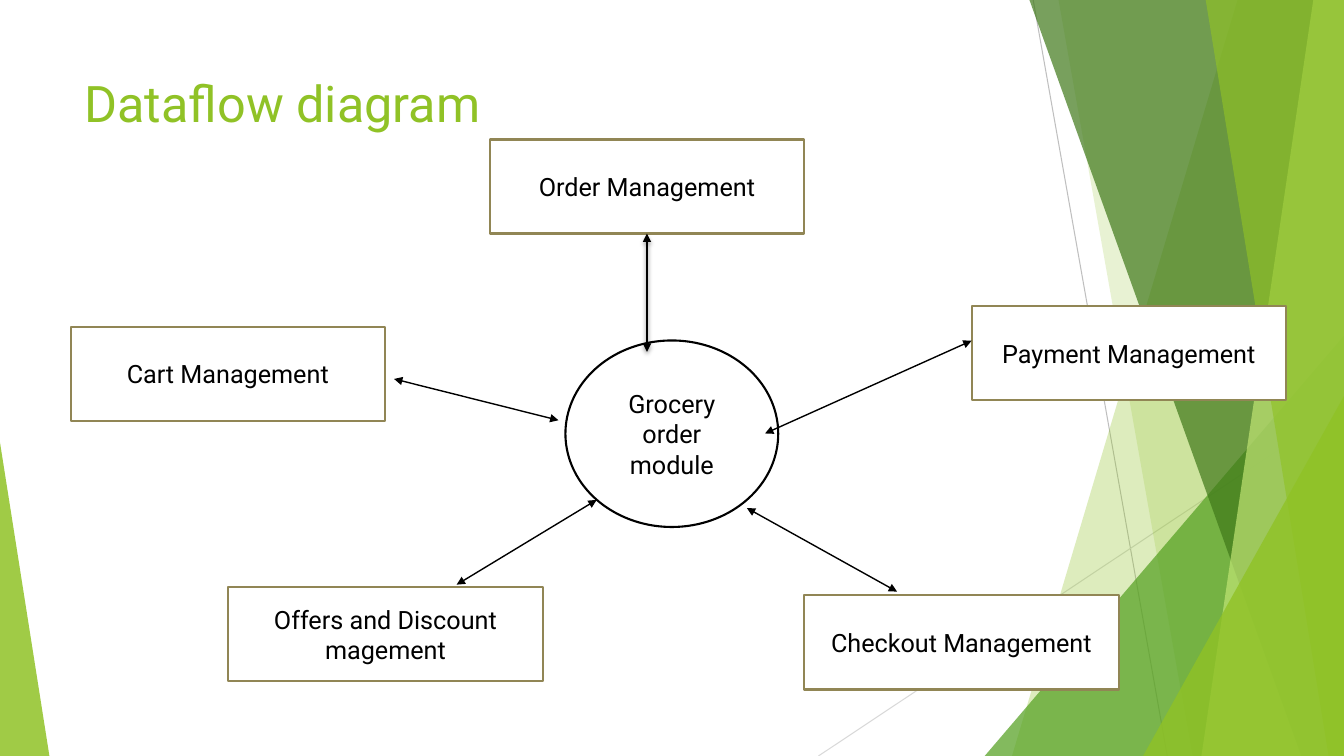
from lxml.etree import SubElement
from pptx import Presentation
from pptx.dml.color import RGBColor
from pptx.enum.shapes import MSO_CONNECTOR as CONN, MSO_SHAPE as SHAPE
from pptx.enum.text import MSO_ANCHOR as ANCHOR, PP_ALIGN as ALIGN
from pptx.oxml import parse_xml
from pptx.oxml.ns import nsdecls, qn
from pptx.util import Pt

WIDTH, HEIGHT, TOP = 960, 540, -0.7
BOX_W, BOX_H = 224.7, 67.2

BLACK = RGBColor(0x00, 0x00, 0x00)
WHITE = RGBColor(0xFF, 0xFF, 0xFF)
LIME = RGBColor(0x90, 0xC2, 0x26)
GREEN = RGBColor(0x54, 0xA0, 0x21)
DARK_GREEN = RGBColor(0x3F, 0x78, 0x19)
PALE_LIME = RGBColor(0xC0, 0xE4, 0x74)
OLIVE = RGBColor(0x91, 0x86, 0x55)
GREY = RGBColor(0xBF, 0xBF, 0xBF)
LIGHT_GREY = RGBColor(0xD9, 0xD9, 0xD9)

LABEL_FONT = {"name": "Roboto", "size": Pt(18)}
TITLE_FONT = {"name": "Roboto", "size": Pt(36)}

# Corner facets, back to front: top-left x, bottom-left x, colour, opacity %
BACK_FACETS = [(884.2, 722.9, LIME, 30), (756, 851.8, LIME, 20)]
FRONT_FACETS = [(735.1, 929.5, DARK_GREEN, 70), (938.2, 858.2, PALE_LIME, 70),
                (861.1, 949, LIME, 65)]

# Management boxes: left, top, label
BOXES = [(349.8, 99.6, "Order Management"),
         (50.4, 233.4, "Cart Management"),
         (574.4, 425.3, "Checkout Management"),
         (694, 218.8, "Payment Management"),
         (163, 419.5, "Offers and Discount magement")]

# Flow arrows: x1, y1, x2, y2
FLOWS = [(281.5, 270.7, 398.9, 300.2), (326.2, 417.6, 426.2, 357.1),
         (546.5, 309.6, 694, 243.4), (533.5, 362.9, 640.8, 422.6)]


def paint(sp, color, opacity=100):
    sp.shadow.inherit = False
    sp.fill.solid()
    sp.fill.fore_color.rgb = color
    sp.line.fill.background()
    if opacity < 100:
        clr = sp.fill._xPr.find(qn("a:solidFill"))[0]
        SubElement(clr, qn("a:alpha")).set("val", str(opacity * 1000))


def add_facet(s, top_x, bottom_x, color, opacity):
    corners = [(WIDTH, TOP), (WIDTH, HEIGHT), (bottom_x, HEIGHT)]
    builder = s.shapes.build_freeform(Pt(top_x), Pt(TOP))
    builder.add_line_segments([(Pt(x), Pt(y)) for x, y in corners], close=True)
    paint(builder.convert_to_shape(), color, opacity)


def add_wedge(s, x, y, w, apex, color, opacity):
    sp = s.shapes.add_shape(SHAPE.ISOSCELES_TRIANGLE, Pt(x), Pt(y),
                            Pt(w), Pt(HEIGHT - y))
    sp.adjustments[0] = apex
    paint(sp, color, opacity)


def add_line(s, x1, y1, x2, y2, color, width):
    line = s.shapes.add_connector(CONN.STRAIGHT, Pt(x1), Pt(y1), Pt(x2), Pt(y2))
    line.line.color.rgb = color
    line.line.width = Pt(width)
    SubElement(line._element.spPr, qn("a:effectLst"))
    return line


def add_flow(s, x1, y1, x2, y2, width=1):
    arrow = add_line(s, x1, y1, x2, y2, BLACK, width)
    ln = arrow.line._get_or_add_ln()
    for end in ("a:headEnd", "a:tailEnd"):
        SubElement(ln, qn(end)).set("type", "triangle")
    return arrow


def add_shadow(arrow):
    effects = arrow._element.spPr.find(qn("a:effectLst"))
    effects.append(parse_xml(
        f'<a:outerShdw {nsdecls("a")} blurRad="{Pt(3)}" dist="{Pt(2)}" '
        'dir="5400000" rotWithShape="0"><a:srgbClr val="000000">'
        '<a:alpha val="35000"/></a:srgbClr></a:outerShdw>'))


def write(sp, text, font, color, align, anchor):
    tf = sp.text_frame
    tf.word_wrap = True
    tf.vertical_anchor = anchor
    p = tf.paragraphs[0]
    p.alignment = align
    r = p.add_run()
    r.text = text
    for name, value in font.items():
        setattr(r.font, name, value)
    r.font.color.rgb = color


def add_node(s, kind, x, y, w, h, text, outline):
    sp = s.shapes.add_shape(kind, Pt(x), Pt(y), Pt(w), Pt(h))
    paint(sp, WHITE)
    sp.line.color.rgb = outline
    sp.line.width = Pt(1.5)
    write(sp, text, LABEL_FONT, BLACK, ALIGN.CENTER, ANCHOR.MIDDLE)
    return sp


def add_decoration(s):
    add_line(s, 738, 0, 833.8, HEIGHT, GREY, 0.75)
    add_line(s, WIDTH, 290.2, 584.6, HEIGHT, LIGHT_GREY, 0.75)
    for facet in BACK_FACETS:
        add_facet(s, *facet)
    add_wedge(s, 703.4, 239.8, 256.6, 1, GREEN, 72)
    for facet in FRONT_FACETS:
        add_facet(s, *facet)
    add_wedge(s, 816.5, 283, 143.5, 1, LIME, 80)
    add_wedge(s, 0, 316.1, 35.3, 0, LIME, 85)


def main():
    prs = Presentation()
    prs.slide_width, prs.slide_height = Pt(WIDTH), Pt(HEIGHT)
    s = prs.slides.add_slide(prs.slide_layouts[6])

    add_decoration(s)

    # Title
    title = s.shapes.add_textbox(Pt(53.3), Pt(48), Pt(676.8), Pt(104))
    write(title, "Dataflow diagram", TITLE_FONT, LIME, ALIGN.LEFT, ANCHOR.TOP)

    # Central module and the boxes around it
    add_node(s, SHAPE.OVAL, 403.9, 243.2, 152, 133.2,
             "Grocery order module", BLACK)
    boxes = {text: add_node(s, SHAPE.RECTANGLE, x, y, BOX_W, BOX_H, text, OLIVE)
             for x, y, text in BOXES}

    # Two-way flows
    order_flow = add_flow(s, 462.15, 166.8, 462.15, 251.3, width=2)
    order_flow.begin_connect(boxes["Order Management"], 2)
    add_shadow(order_flow)
    for flow in FLOWS:
        add_flow(s, *flow)

    prs.save("out.pptx")


if __name__ == "__main__":
    main()
